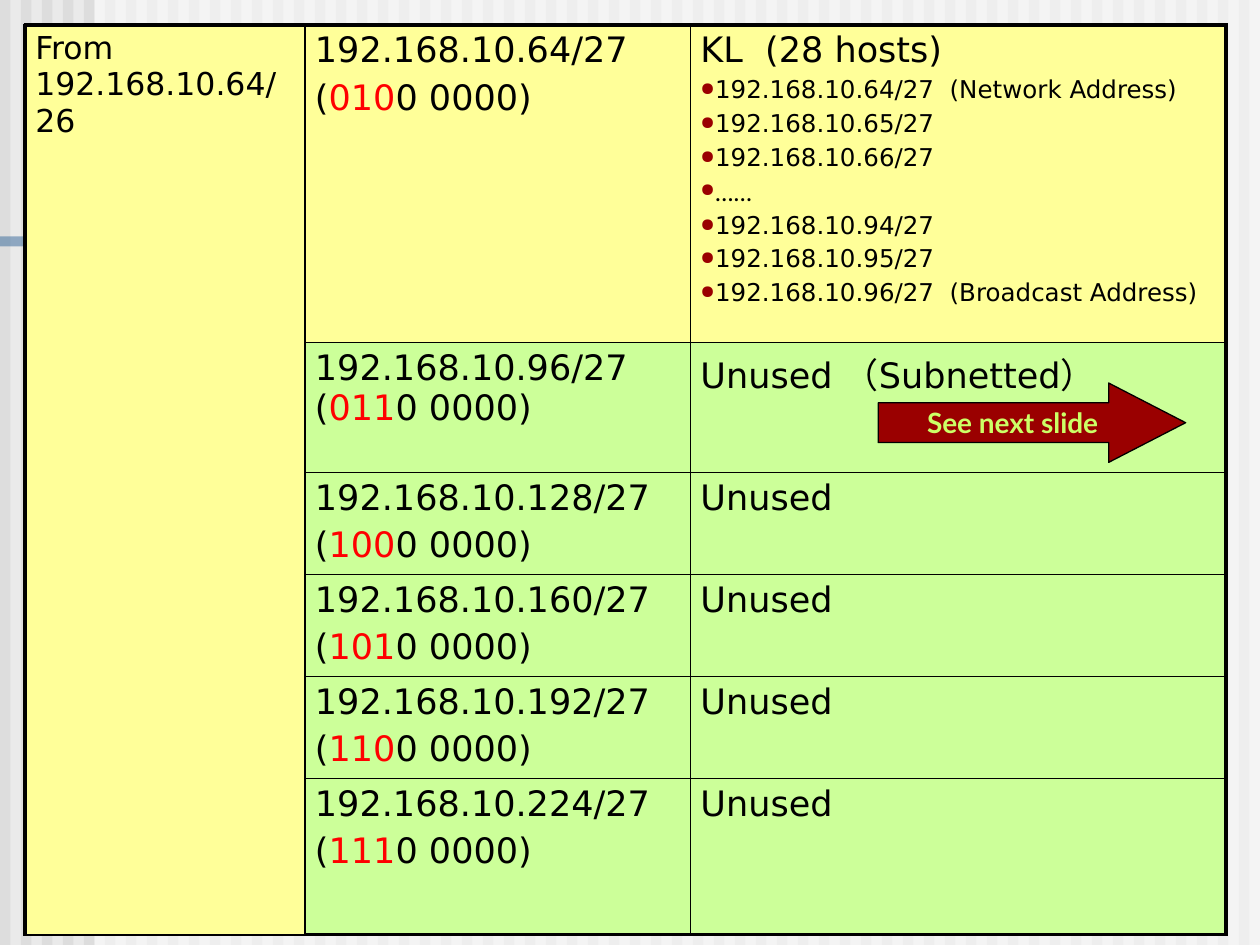
import pptx
import pptx.util
import pptx.dml.color
import pptx.enum.shapes
import pptx.enum.text
import pptx.oxml.ns
import lxml.etree

THEME = dict(
    back="EAEAEA", stripe="DDDDDD", veil="FFFFFF", band="336699",
    used="FFFF99", free="CCFF99", ink="000000", mark="FF0000",
    dot="9A0000", glow="CCFF66", font="DejaVu Sans", alt="Lato",
    big=20, mid=18, note=16, small=14, thick=2.25, thin=1, edge=0.75,
)
SIZE = (10, 7.5)
SOURCE = "From 192.168.10.64/26"
NETS = [
    ("64", "010", "KL  (28 hosts)"),
    ("96", "011", "Unused （Subnetted）"),
    ("128", "100", "Unused"),
    ("160", "101", "Unused"),
    ("192", "110", "Unused"),
    ("224", "111", "Unused"),
]
HOSTS = [
    "192.168.10.64/27  (Network Address)",
    "192.168.10.65/27",
    "192.168.10.66/27",
    "……",
    "192.168.10.94/27",
    "192.168.10.95/27",
    "192.168.10.96/27  (Broadcast Address)",
]
CALL = "See next slide"
COLS = [2.22, 3.06, 4.25]
ROWS = [2.52, 1.03, 0.81, 0.81, 0.81, 1.24]
LEFT = TOP = 0.2
STRIPES, PITCH = 60, 1 / 6

inch = pptx.util.Inches
rgb = pptx.dml.color.RGBColor.from_string
qn = pptx.oxml.ns.qn


def node(root, tag, **attrs):
    return lxml.etree.SubElement(root, qn("a:" + tag), attrs)


def text(frame, lines, size=THEME["big"], font=THEME["font"], color=THEME["ink"],
         bold=False, align=None, gap=True, dots=False, more=False):
    for num, line in enumerate(lines):
        para = frame.add_paragraph() if num or more else frame.paragraphs[0]
        para.alignment = align
        props = para._p.get_or_add_pPr()
        if gap:
            node(node(props, "spcBef"), "spcPct", val="20000")
        if dots:
            node(node(props, "buClr"), "srgbClr", val=THEME["dot"])
            node(props, "buSzPct", val="75000")
            node(props, "buChar", char="●")
        for words, tint in [(line, color)] if isinstance(line, str) else line:
            run = para.add_run()
            run.text = words
            run.font.size = pptx.util.Pt(size)
            run.font.name = THEME["alt"] if words == "……" else font
            run.font.bold = bold
            run.font.color.rgb = rgb(tint)


def shape(kind, box, fill, alpha=None, line=None):
    item = slide.shapes.add_shape(kind, *map(inch, box))
    item.shadow.inherit = False
    item.fill.solid()
    item.fill.fore_color.rgb = rgb(fill)
    if alpha:
        tint = item._element.spPr.find(qn("a:solidFill"))[0]
        node(tint, "alpha", val=str(alpha * 1000))
    if line:
        item.line.color.rgb = rgb(line)
        item.line.width = pptx.util.Pt(THEME["edge"])
    else:
        item.line.fill.background()
    return item


def inset(item):
    item.margin_left = item.margin_right = inch(0.08)
    item.margin_top = item.margin_bottom = inch(0.04)


def style(cell, row, col, fill):
    inset(cell)
    props = cell._tc.get_or_add_tcPr()
    outer = dict(L=col == 0, R=col == len(COLS) - 1,
                 T=row == 0, B=row == len(ROWS) - 1)
    for side, out in outer.items():
        width = pptx.util.Pt(THEME["thick" if out else "thin"])
        edge = node(props, "ln" + side, w=str(width))
        node(node(edge, "solidFill"), "srgbClr", val=THEME["ink"])
    cell.fill.solid()
    cell.fill.fore_color.rgb = rgb(fill)


deck = pptx.Presentation()
deck.slide_width, deck.slide_height = map(inch, SIZE)
slide = deck.slides.add_slide(deck.slide_layouts[6])
slide.background.fill.solid()
slide.background.fill.fore_color.rgb = rgb(THEME["back"])

kinds = pptx.enum.shapes.MSO_SHAPE
for num in range(STRIPES):
    shape(kinds.RECTANGLE, (num * PITCH, 0, PITCH / 2, SIZE[1]), THEME["stripe"])
shape(kinds.RECTANGLE, (0.75, 0, 9.25, SIZE[1]), THEME["veil"], alpha=50)
shape(kinds.RECTANGLE, (0, SIZE[1] / 4, 7.6, 0.08), THEME["band"], alpha=50)

grid = slide.shapes.add_table(
    len(ROWS), len(COLS), *map(inch, (LEFT, TOP, sum(COLS), sum(ROWS)))).table
grid.first_row = grid.horz_banding = False
for parts, sizes in ((grid.columns, COLS), (grid.rows, ROWS)):
    for part, size in zip(parts, sizes):
        if parts is grid.columns:
            part.width = inch(size)
        else:
            part.height = inch(size)

for row, (host, bits, use) in enumerate(NETS):
    for col in range(len(COLS)):
        hue = THEME["used" if row == 0 or col == 0 else "free"]
        style(grid.cell(row, col), row, col, hue)
    code = [("(", THEME["ink"]), (bits, THEME["mark"]), ("0 0000)", THEME["ink"])]
    text(grid.cell(row, 1).text_frame, [f"192.168.10.{host}/27", code], gap=row != 1)
    text(grid.cell(row, 2).text_frame, [use])
text(grid.cell(0, 2).text_frame, HOSTS, size=THEME["small"], dots=True, more=True)
grid.cell(0, 0).merge(grid.cell(len(ROWS) - 1, 0))
text(grid.cell(0, 0).text_frame, [SOURCE], size=THEME["mid"])

arrow = shape(kinds.RIGHT_ARROW, (6.97, 3.04, 2.44, 0.63), THEME["dot"], line=THEME["ink"])
arrow.adjustments[0], arrow.adjustments[1] = 0.5, 0.97
frame = arrow.text_frame
inset(frame)
frame.word_wrap = False
frame.vertical_anchor = pptx.enum.text.MSO_ANCHOR.MIDDLE
text(frame, [CALL], size=THEME["note"], font=THEME["alt"], color=THEME["glow"],
     bold=True, align=pptx.enum.text.PP_ALIGN.CENTER, gap=False)

deck.save("out.pptx")
